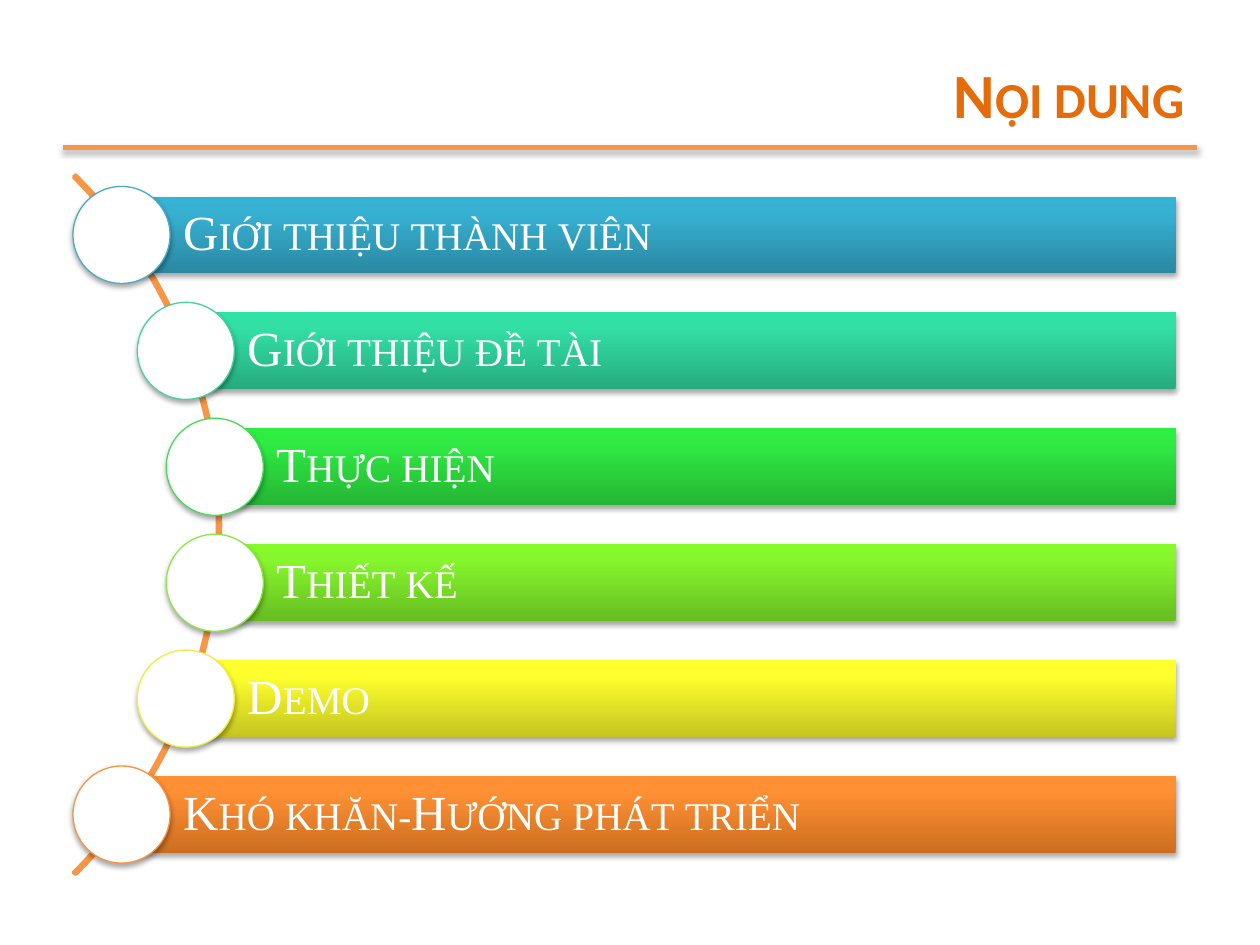
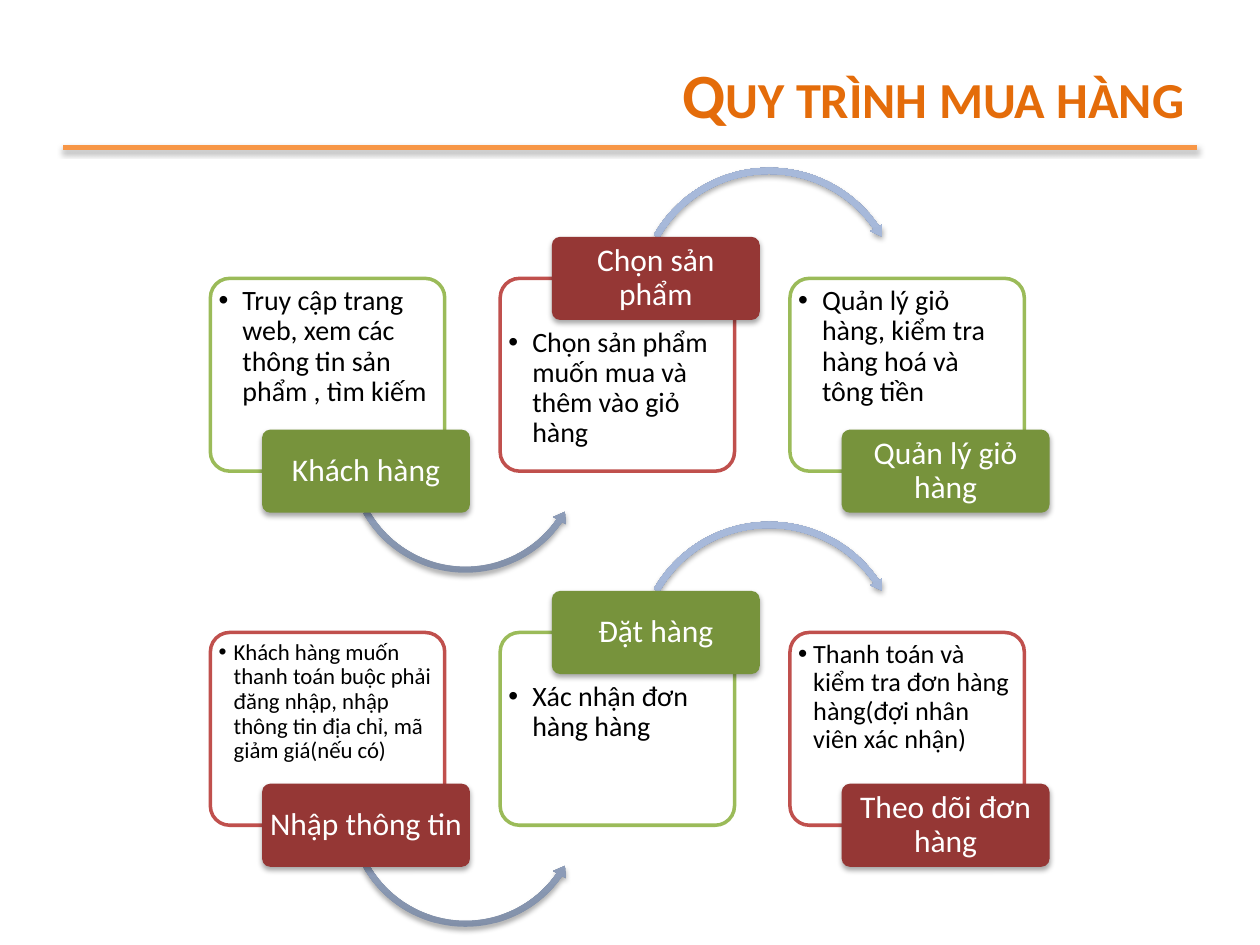
from copy import deepcopy

from lxml import etree
from pptx import Presentation
from pptx import util as u
from pptx.dml.color import RGBColor
from pptx.enum import shapes, text
from pptx.oxml import ns, parse_xml

Inches, Pt = u.Inches, u.Pt
Kind = shapes.MSO_SHAPE
Align = text.PP_ALIGN

WHITE = RGBColor(0xFF, 0xFF, 0xFF)
BLACK = RGBColor(0x00, 0x00, 0x00)
TITLE_ORANGE = RGBColor(0xE4, 0x6C, 0x0A)
ORANGE = RGBColor(0xF7, 0x96, 0x46)
GREEN = RGBColor(0x9B, 0xBB, 0x59)
DARK_GREEN = RGBColor(0x77, 0x93, 0x3C)
RED = RGBColor(0xC0, 0x50, 0x4D)
DARK_RED = RGBColor(0x95, 0x37, 0x35)
ARROW_BLUES = ("818FA8", "A7B9DA", "A7BADC")
SHADOW = parse_xml(
    f'<a:effectLst {ns.nsdecls("a")}>'
    '<a:outerShdw blurRad="40000" dist="23000" dir="5400000" rotWithShape="0">'
    '<a:srgbClr val="000000"><a:alpha val="35000"/></a:srgbClr>'
    '</a:outerShdw></a:effectLst>')


def add_block(slide, kind, box, fill=None, line=None, width=0.75, shadow=True, adjust=()):
    """Add a preset shape; fill is a colour, three gradient stops (bottom to top) or None."""
    block = slide.shapes.add_shape(kind, *map(Inches, box))
    for index, value in enumerate(adjust):
        block.adjustments[index] = value
    if fill is None:
        block.fill.background()
    elif isinstance(fill, RGBColor):
        block.fill.solid()
        block.fill.fore_color.rgb = fill
    else:
        block.fill.gradient()
        block.fill.gradient_angle = 90
        stops = block._element.spPr.find(".//" + ns.qn("a:gsLst"))
        for stop in list(stops):
            stops.remove(stop)
        for position, colour in zip((0, 80000, 100000), fill):
            stop = etree.SubElement(stops, ns.qn("a:gs"), pos=str(position))
            etree.SubElement(stop, ns.qn("a:srgbClr"), val=colour)
    if line is None:
        block.line.fill.background()
    else:
        block.line.color.rgb = line
        block.line.width = Pt(width)
    if shadow:
        block._element.spPr.append(deepcopy(SHADOW))
    else:
        block.shadow.inherit = False
    return block


def write(block, words, size, colour, align, anchor, insets=None, font="Calibri",
          spacing=0.9, small_caps=False, bold=False, hang=0):
    """Put one formatted paragraph in a shape; hang is the bullet indent in inches."""
    frame = block.text_frame
    frame.text = words
    frame.word_wrap = True
    frame.auto_size = text.MSO_AUTO_SIZE.NONE
    frame.vertical_anchor = anchor
    if insets:
        (frame.margin_left, frame.margin_top,
         frame.margin_right, frame.margin_bottom) = map(Inches, insets)
    paragraph = frame.paragraphs[0]
    paragraph.alignment = align
    paragraph.line_spacing = spacing
    if hang:
        properties = paragraph._p.get_or_add_pPr()
        properties.set("marL", str(Inches(hang)))
        properties.set("indent", str(-Inches(hang)))
        etree.SubElement(properties, ns.qn("a:buFont"), typeface="Arial")
        etree.SubElement(properties, ns.qn("a:buChar"), char="•")
    run = paragraph.runs[0]
    run.font.name = font
    run.font.size = Pt(size)
    run.font.bold = bold
    run.font.color.rgb = colour
    if small_caps:
        run._r.get_or_add_rPr().set("cap", "small")


deck = Presentation()
deck.slide_width, deck.slide_height = Inches(10), Inches(7.5)

# Shared layout: title position and the rule below it
layout = deck.slide_layouts[5]
heading = layout.placeholders[0]
heading.left, heading.top, heading.width, heading.height = map(Inches, (1.75, 0.17, 7.75, 0.92))
contents, process = [deck.slides.add_slide(layout) for _ in range(2)]

rule = contents.shapes.add_connector(
    shapes.MSO_CONNECTOR.STRAIGHT, Inches(0.5), Inches(1.17), Inches(9.5), Inches(1.17))
rule.line.color.rgb = ORANGE
rule.line.width = Pt(3)
rule._element.spPr.append(deepcopy(SHADOW))
layout.shapes._spTree.append(rule._element)

for slide, words in ((contents, "Nội dung"), (process, "Quy trình mua hàng")):
    write(slide.shapes.title, words, 36, TITLE_ORANGE, Align.RIGHT, text.MSO_ANCHOR.BOTTOM,
          spacing=1.0, small_caps=True, bold=True)

# Contents: six bars hung on an arc
add_block(contents, Kind.BLOCK_ARC, (-6.1, 0.24, 7.85, 7.85), line=ORANGE, width=2,
          shadow=False, adjust=(189, 27, 0.003))
topics = [
    ("Giới thiệu thành viên", 0.58, ("2A88A2", "37B1D2", "34B4D6"), "4BACC6"),
    ("Giới thiệu đề tài", 1.09, ("27AB7E", "32DFA4", "2FE3A6"), "49D1A3"),
    ("Thực hiện", 1.32, ("24B534", "2FEB43", "2CEF41"), "47DC57"),
    ("Thiết kế", 1.32, ("67BD22", "86F62D", "86FB29"), "8DE646"),
    ("Demo", 1.09, ("C4C521", "FEFF2C", "FEFF2D"), "EEEF46"),
    ("Khó khăn-Hướng phát triển", 0.58, ("CC6E20", "FF9034", "FF9136"), "F79646"),
]
BAR_RIGHT, DOT = 9.33, 0.77
for index, (topic, dot_left, gradient, outline) in enumerate(topics):
    dot_top = 1.48 + 0.92 * index
    bar_left = dot_left + DOT / 2
    bar = add_block(contents, Kind.RECTANGLE,
                    (bar_left, dot_top + 0.08, BAR_RIGHT - bar_left, 0.61), gradient)
    write(bar, topic, 28, WHITE, Align.LEFT, text.MSO_ANCHOR.MIDDLE,
          (0.49, 0.08, 0.08, 0.08), font="Times New Roman", small_caps=True)
    add_block(contents, Kind.OVAL, (dot_left, dot_top, DOT, DOT), WHITE,
              RGBColor.from_string(outline))

# Buying process: two rows of three steps (label, details, text size, bullet indent)
steps = [
    ("Khách hàng", "Truy cập trang web, xem các thông tin sản phẩm , tìm kiếm", 16, 0.19),
    ("Chọn sản phẩm", "Chọn sản phẩm muốn mua và thêm vào giỏ hàng", 16, 0.19),
    ("Quản lý giỏ hàng", "Quản lý giỏ hàng, kiểm tra hàng hoá và tông tiền", 16, 0.19),
    ("Nhập thông tin",
     "Khách hàng muốn thanh toán buộc phải đăng nhập, nhập thông tin địa chỉ, "
     "mã giảm giá(nếu có)", 13, 0.12),
    ("Đặt hàng", "Xác nhận đơn hàng hàng", 16, 0.19),
    ("Theo dõi đơn hàng",
     "Thanh toán và kiểm tra đơn hàng hàng(đợi nhân viên xác nhận)", 15, 0.12),
]
for index, (label, details, size, hang) in enumerate(steps):
    row, column = divmod(index, 3)
    left, top = 1.67 + 2.3 * column, 2.21 + 2.81 * row
    outline, label_fill = ((GREEN, DARK_GREEN), (RED, DARK_RED))[index % 2]
    label_above = column == 1

    panel = add_block(process, Kind.ROUNDED_RECTANGLE, (left, top, 1.86, 1.53), WHITE,
                      outline, width=2, shadow=False, adjust=(0.1,))
    write(panel, details, size, BLACK, Align.LEFT, text.MSO_ANCHOR.TOP,
          (0.02, 0.35 if label_above else 0.02, 0.02, 0.02), hang=hang)

    if column == 0:
        add_block(process, Kind.LEFT_CIRCULAR_ARROW, (left + 1.06, top + 0.44, 1.93, 1.93),
                  ARROW_BLUES, adjust=(0.025, 3.094, 20.849, 90.245, 0.03))
    elif column == 1:
        add_block(process, Kind.CIRCULAR_ARROW, (left + 1.05, top - 0.91, 2.17, 2.17),
                  ARROW_BLUES, adjust=(0.023, 2.738, 195.507, 125.755, 0.026))

    label_top = top - 0.33 if label_above else top + 1.2
    tag = add_block(process, Kind.ROUNDED_RECTANGLE, (left + 0.41, label_top, 1.65, 0.66),
                    label_fill, adjust=(0.1,))
    write(tag, label, 18, WHITE, Align.CENTER, text.MSO_ANCHOR.MIDDLE, (0.04, 0.03, 0.04, 0.03))

deck.save("out.pptx")
